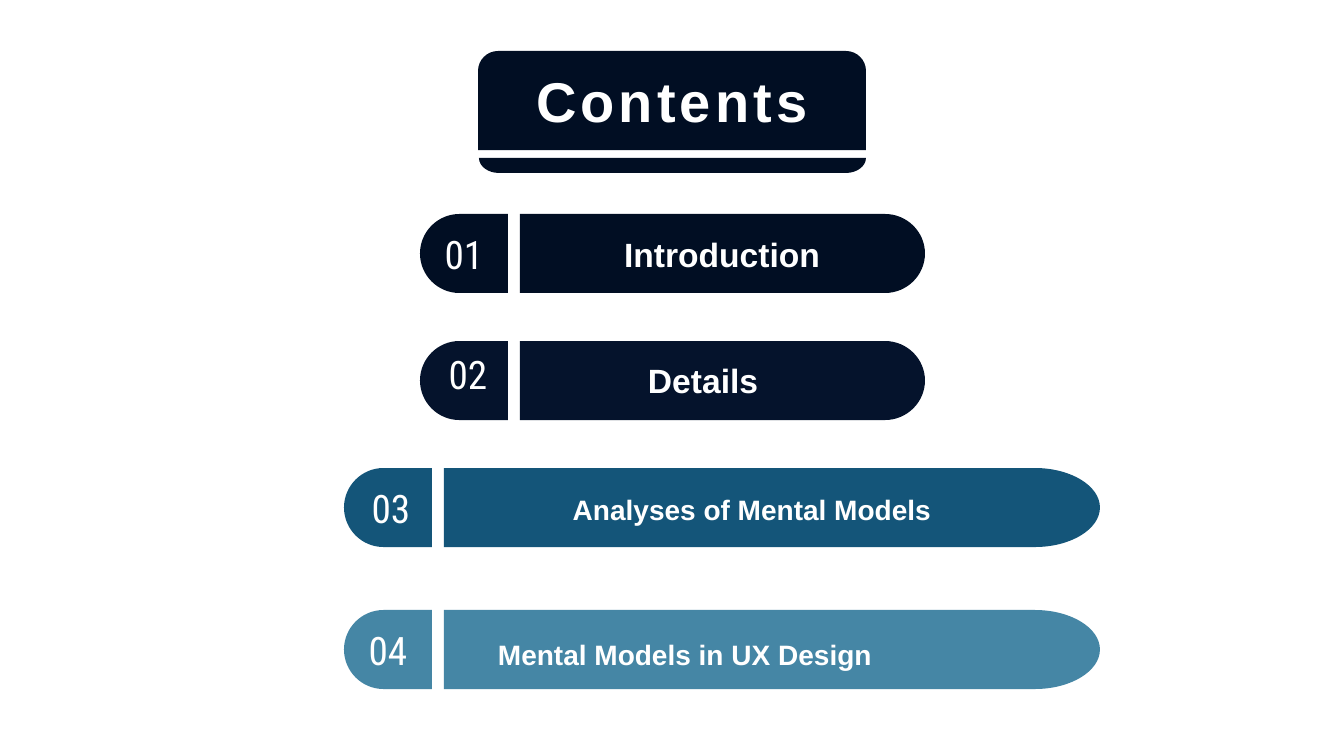
from dataclasses import dataclass

from lxml import etree
from pptx import Presentation
from pptx.dml.color import RGBColor
from pptx.enum.text import MSO_ANCHOR, MSO_AUTO_SIZE, PP_ALIGN
from pptx.oxml.ns import qn
from pptx.util import Pt

MIDDLE = MSO_ANCHOR.MIDDLE
CENTER = PP_ALIGN.CENTER
NO_AUTOFIT = MSO_AUTO_SIZE.NONE

TITLE = "Contents"
# label, colour, text size, tab left, top, body width, cap radius,
# number centre and shift down, label centre and shift down (px)
ENTRIES = [
    ("Introduction", "010E23", 24, 420, 214, 405, 40, (464, 0), (722, 1)),
    ("Details", "05132C", 24, 420, 341, 405, 40, (468, -7), (703, 0)),
    ("Analyses of Mental Models", "145579", 20, 344, 468, 656, 65, (391, 0), (752, 2)),
    ("Mental Models in UX Design", "4586A5", 20, 344, 610, 656, 65, (388, 0), (685, 5)),
]


@dataclass(frozen=True)
class Theme:
    header: str = "010E23"
    text: str = "FFFFFF"
    font: str = "Arial"
    number_font: str = "Roboto Condensed"
    title_size: int = 40
    number_size: int = 28


THEME = Theme()
EMU_PER_PX = 914400 / 100.8
SLIDE_SIZE = (1344, 756)
HEADER_BOX = (478, 51, 388, 99)
HEADER_BASE_BOX = (479, 158, 387, 15)
HEADER_RADIUS = 20
BAR_HEIGHT = 79
TAB_WIDTH = 88
TAB_GAP = 12
TEXT_MARGIN = 5
ARC_PULL = 0.55  # share of the radius that a curve handle covers
SQUARE = (0, 0)


def px(length):
    return round(length * EMU_PER_PX)


def place(shape, box):
    shape.left, shape.top, shape.width, shape.height = map(px, box)


def outline_steps(width, height, corners):
    """List the outline as (point, corner); corner is None on straight steps."""
    steps = []
    signs = [(1, 1), (-1, 1), (-1, -1), (1, -1)]
    for index, ((rx, ry), (sx, sy)) in enumerate(zip(corners, signs)):
        x = 0 if sx > 0 else width
        y = 0 if sy > 0 else height
        ends = [(x, y + sy * ry), (x + sx * rx, y)]
        if index % 2:
            ends.reverse()
        if not steps or steps[-1][0] != ends[0]:
            steps.append((ends[0], None))
        if rx:
            steps.append((ends[1], (x, y)))
    return steps


def bend(segment, start, end, corner):
    """Turn a straight segment into a quarter arc around its corner."""
    segment.tag = qn("a:cubicBezTo")
    for index, anchor in enumerate((start, end)):
        x, y = (px(a + ARC_PULL * (c - a)) for a, c in zip(anchor, corner))
        handle = etree.Element(qn("a:pt"), x=str(x), y=str(y))
        segment.insert(index, handle)


def add_panel(shapes, box, corners, color):
    """Draw a box whose corners, clockwise from top left, have radii (x, y)."""
    left, top, width, height = box
    steps = outline_steps(width, height, corners)
    points = [(px(x), px(y)) for (x, y), _ in steps]
    builder = shapes.build_freeform(*points[0])
    builder.add_line_segments(points[1:], close=True)
    panel = builder.convert_to_shape(px(left), px(top))
    segments = list(panel.element.iter(qn("a:lnTo")))
    for segment, (start, _), (end, corner) in zip(segments, steps, steps[1:]):
        if corner:
            bend(segment, start, end, corner)
    panel.fill.solid()
    panel.fill.fore_color.rgb = RGBColor.from_string(color)
    panel.line.fill.background()
    panel.shadow.inherit = False
    return panel


def write_text(shape, text, size, font_name, bold, wrap=False):
    frame = shape.text_frame
    frame.text = text
    frame.auto_size = NO_AUTOFIT
    frame.word_wrap = wrap
    frame.vertical_anchor = MIDDLE
    frame.margin_left = frame.margin_right = px(TEXT_MARGIN)
    frame.margin_top = frame.margin_bottom = px(TEXT_MARGIN)
    paragraph = frame.paragraphs[0]
    paragraph.alignment = CENTER
    run = paragraph.runs[0]
    run.font.size = Pt(size)
    run.font.name = font_name
    run.font.bold = bold
    run.font.color.rgb = RGBColor.from_string(THEME.text)
    return run


def add_label(shapes, center, top, width, *text_format):
    box = (center - width / 2, top, width, BAR_HEIGHT)
    write_text(shapes.add_textbox(*map(px, box)), *text_format)


def add_header(slide):
    radius = (HEADER_RADIUS, HEADER_RADIUS)
    header = add_panel(slide.shapes, HEADER_BOX,
                       [radius, radius, SQUARE, SQUARE], THEME.header)
    title = slide.shapes.title
    place(title, HEADER_BOX)
    run = write_text(title, TITLE, THEME.title_size, THEME.font, True, wrap=True)
    run.font._element.set("spc", "300")
    header.element.addnext(title.element)  # the title sits in front of its panel
    base_radius = (HEADER_RADIUS, HEADER_BASE_BOX[3])
    add_panel(slide.shapes, HEADER_BASE_BOX,
              [SQUARE, SQUARE, base_radius, base_radius], THEME.header)


def add_entry(shapes, number, entry):
    label, color, size, left, top, body_width, cap, number_at, label_at = entry
    half = BAR_HEIGHT / 2
    tab_end, body_end = (half, half), (cap, half)
    add_panel(shapes, (left, top, TAB_WIDTH, BAR_HEIGHT),
              [tab_end, SQUARE, SQUARE, tab_end], color)
    add_label(shapes, number_at[0], top + number_at[1], 52,
              f"{number:02d}", THEME.number_size, THEME.number_font, False)
    body_left = left + TAB_WIDTH + TAB_GAP
    add_panel(shapes, (body_left, top, body_width, BAR_HEIGHT),
              [SQUARE, body_end, body_end, SQUARE], color)
    add_label(shapes, label_at[0], top + label_at[1], 380,
              label, size, THEME.font, True)


def main():
    presentation = Presentation()
    presentation.slide_width, presentation.slide_height = map(px, SLIDE_SIZE)
    slide = presentation.slides.add_slide(presentation.slide_layouts[5])
    add_header(slide)
    entry_group = slide.shapes.add_group_shape()
    for number, entry in enumerate(ENTRIES, start=1):
        add_entry(entry_group.shapes, number, entry)
    presentation.save("out.pptx")


if __name__ == "__main__":
    main()
